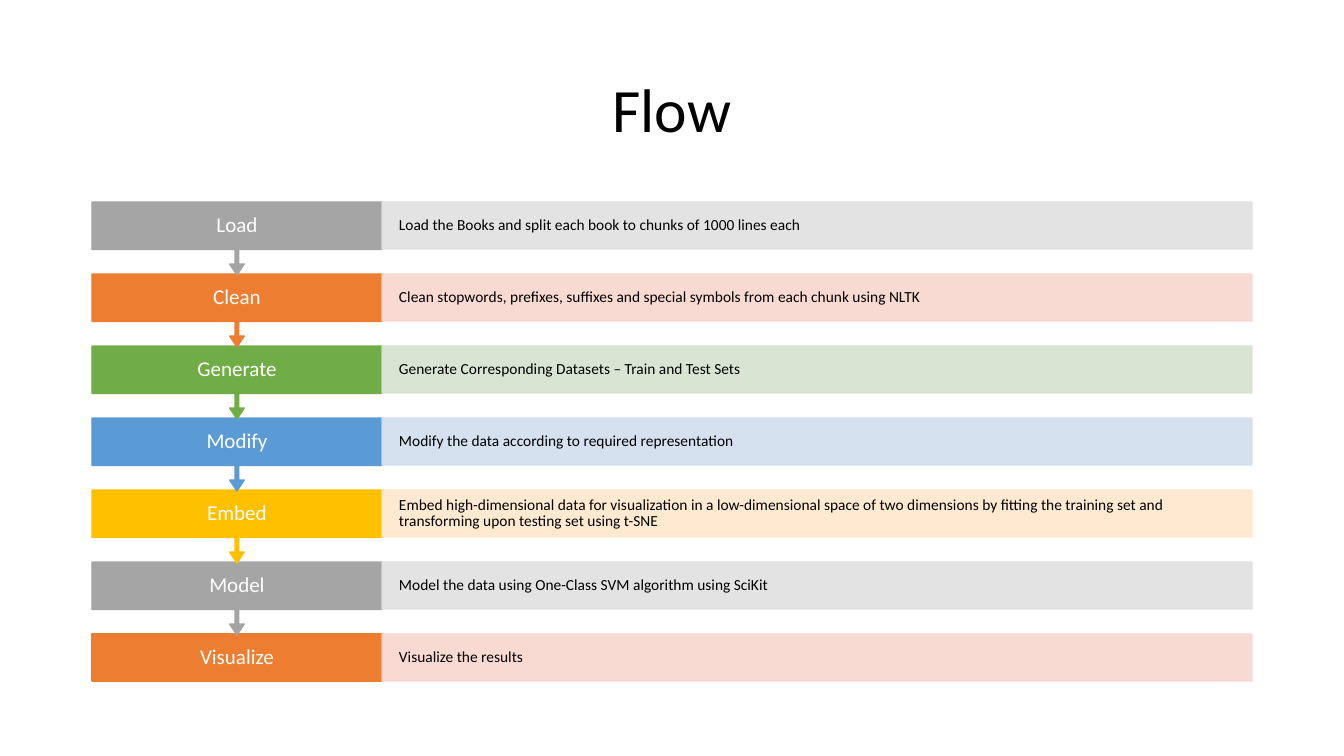
from lxml import etree
from pptx import Presentation, util as u
from pptx.dml.color import RGBColor
from pptx.enum import shapes, text
from pptx.oxml import ns

PX = 914400 / 100.8
FONT = "Calibri"
BLACK = RGBColor(0x00, 0x00, 0x00)
WHITE = RGBColor(0xFF, 0xFF, 0xFF)
GRAY, PALE_GRAY = RGBColor(0xA5, 0xA5, 0xA5), RGBColor(0xE1, 0xE1, 0xE1)
ORANGE, PALE_ORANGE = RGBColor(0xED, 0x7D, 0x31), RGBColor(0xF8, 0xD7, 0xCE)
GREEN, PALE_GREEN = RGBColor(0x70, 0xAD, 0x47), RGBColor(0xD5, 0xE3, 0xCF)
BLUE, PALE_BLUE = RGBColor(0x5B, 0x9B, 0xD5), RGBColor(0xD2, 0xDE, 0xEF)
GOLD, PALE_GOLD = RGBColor(0xFF, 0xC0, 0x00), RGBColor(0xFF, 0xE8, 0xCC)

STEPS = [
    ("Load", "Load the Books and split each book to chunks of 1000 lines each"),
    ("Clean", "Clean stopwords, prefixes, suffixes and special symbols from each chunk using NLTK"),
    ("Generate", "Generate Corresponding Datasets – Train and Test Sets"),
    ("Modify", "Modify the data according to required representation"),
    ("Embed", "Embed high-dimensional data for visualization in a low-dimensional space of two "
              "dimensions by fitting the training set and transforming upon testing set using t-SNE"),
    ("Model", "Model the data using One-Class SVM algorithm using SciKit"),
    ("Visualize", "Visualize the results"),
]
PALETTE = [(GRAY, PALE_GRAY), (ORANGE, PALE_ORANGE), (GREEN, PALE_GREEN),
           (BLUE, PALE_BLUE), (GOLD, PALE_GOLD)]


def emu(*lengths):
    return [u.Emu(round(length * PX)) for length in lengths]


def write(shape, words, *, size, color=BLACK, align=text.PP_ALIGN.CENTER, inset=(10, 5)):
    frame = shape.text_frame
    frame.word_wrap = True
    frame.vertical_anchor = text.MSO_ANCHOR.MIDDLE
    side, edge = emu(*inset)
    frame.margin_left = frame.margin_right = side
    frame.margin_top = frame.margin_bottom = edge
    para = frame.paragraphs[0]
    para.alignment = align
    para.line_spacing = 0.9
    span = para.add_run()
    span.text = words
    span.font.name = FONT
    span.font.size = u.Pt(size)
    span.font.color.rgb = color


def add_block(page, kind, box, color, opacity=100):
    block = page.shapes.add_shape(kind, *emu(*box))
    block.shadow.inherit = False
    block.fill.solid()
    block.fill.fore_color.rgb = color
    block.line.color.rgb = color
    block.line.width = u.Pt(1)
    if opacity < 100:
        # Applies to both the fill and the outline
        for tint in block.fill._xPr.iter(ns.qn("a:srgbClr")):
            etree.SubElement(tint, ns.qn("a:alpha"), val=str(opacity * 1000))
    return block


def add_title(page, box, words):
    title = page.shapes.add_textbox(*emu(*box))
    write(title, words, size=44)


def add_step(page, box, step, colors, is_last):
    left, top, width, height = box
    label_width, bar_height = width // 4, 47
    name, detail = step
    strong, pale = colors

    # Step name, with an arrow down to the next step
    if is_last:
        label = add_block(page, shapes.MSO_SHAPE.RECTANGLE,
                          (left, top, label_width, bar_height), strong)
    else:
        label = add_block(page, shapes.MSO_SHAPE.DOWN_ARROW_CALLOUT,
                          (left, top, label_width, height), strong)
        for index, value in enumerate((0.05, 0.1, 0.15, 0.65)):
            label.adjustments[index] = value
    write(label, name, size=15, color=WHITE, inset=(20, 5))

    # Description bar
    bar = add_block(page, shapes.MSO_SHAPE.RECTANGLE,
                    (left + label_width, top, width - label_width, bar_height), pale, 90)
    write(bar, detail, size=11, align=text.PP_ALIGN.LEFT, inset=(17, 5))


def add_flow(page, box):
    left, top, width, pitch = box
    # Last step first, so that each arrow lies over the step below it
    for index, step in reversed(list(enumerate(STEPS))):
        add_step(page, (left, top + index * pitch, width, pitch + 1), step,
                 PALETTE[index % len(PALETTE)], index == len(STEPS) - 1)


def main():
    deck = Presentation()
    deck.slide_width, deck.slide_height = emu(1344, 756)
    page = deck.slides.add_slide(deck.slide_layouts[6])
    add_title(page, (92, 40, 1160, 146), "Flow")
    add_flow(page, (92, 202, 1160, 72))
    deck.save("out.pptx")


if __name__ == "__main__":
    main()
